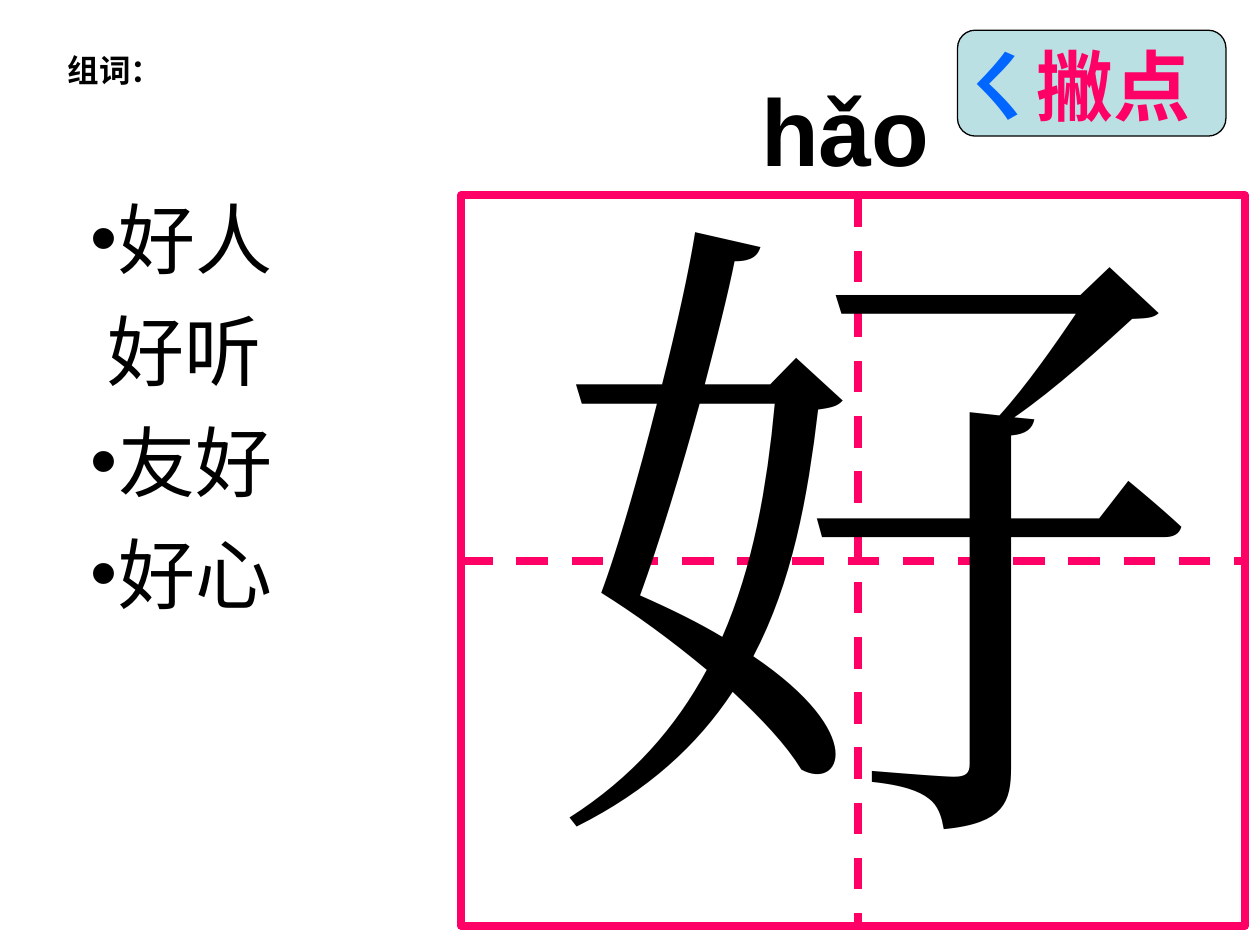
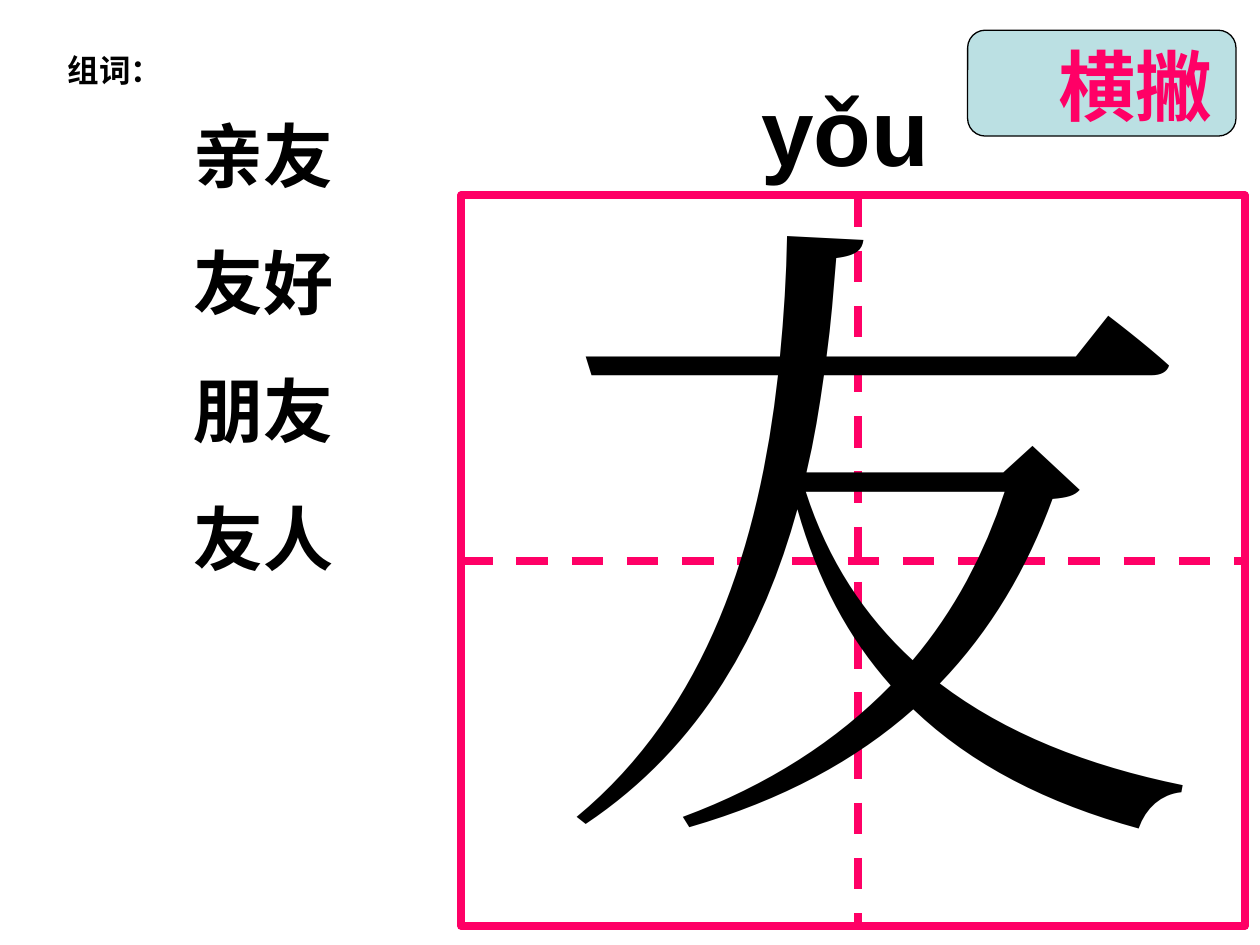
from lxml.etree import SubElement
from pptx import Presentation
from pptx.dml.color import RGBColor
from pptx.enum.dml import MSO_LINE_DASH_STYLE as Dash
from pptx.enum.shapes import MSO_CONNECTOR as Connector, MSO_SHAPE as Shape
from pptx.enum.text import MSO_ANCHOR as Anchor, MSO_AUTO_SIZE as AutoSize, PP_ALIGN as Align
from pptx.oxml.ns import qn
from pptx.util import Emu, Pt

EMU_PER_PX = 9144
COLOURS = {"ink": "000000", "rose": "FF0066", "blue": "0066FF",
           "badge": "BBE0E3", "paper": "FFFFFF"}
GRID = (366, 155, 622, 580)
HANGING = 22
PLAIN_INDENT = 13


def px(length):
    return Emu(length * EMU_PER_PX)


def colour_of(name):
    return RGBColor.from_string(COLOURS[name])


def write(paragraph, text, *, size, font="Arial", colour="ink", bold=False,
          align=Align.LEFT, before=0):
    paragraph.alignment = align
    paragraph.space_before = Pt(before)
    paragraph.line_spacing = Pt(size * 1.2)
    run = paragraph.add_run()
    run.text = text
    run.font.name = font
    run.font.size = Pt(size)
    run.font.bold = bold
    run.font.color.rgb = colour_of(colour)
    SubElement(run.font._element, qn("a:ea")).set("typeface", font)


class CharacterCard:
    def __init__(self, deck):
        self.slide = deck.slides.add_slide(deck.slide_layouts[1])
        self.shapes = self.slide.shapes
        background = self.slide.background.fill
        background.solid()
        background.fore_color.rgb = colour_of("paper")

    def frame(self, holder, wrap):
        frame = holder.text_frame
        frame.auto_size = AutoSize.NONE
        frame.word_wrap = wrap
        frame.vertical_anchor = Anchor.TOP
        frame.margin_left = frame.margin_right = px(10)
        frame.margin_top = frame.margin_bottom = px(5)
        return frame

    def place(self, holder, box):
        holder.left, holder.top, holder.width, holder.height = map(px, box)
        return self.frame(holder, True)

    def label(self, box, parts, **style):
        frame = self.frame(self.shapes.add_textbox(*map(px, box)), False)
        for text, colour in parts:
            write(frame.paragraphs[0], text, colour=colour, **style)

    def outline(self, line, colour, width, dash=None):
        line.color.rgb = colour_of(colour)
        line.width = Pt(width)
        if dash:
            line.dash_style = dash

    def panel(self, kind, box, line, width, fill=None):
        panel = self.shapes.add_shape(kind, *map(px, box))
        panel.shadow.inherit = False
        if fill:
            panel.fill.solid()
            panel.fill.fore_color.rgb = colour_of(fill)
        else:
            panel.fill.background()
        self.outline(panel.line, line, width)
        return panel

    def line(self, start, end, colour, width, dash=None):
        line = self.shapes.add_connector(Connector.STRAIGHT, *map(px, start + end))
        self.outline(line.line, colour, width, dash)
        SubElement(line._element.spPr, qn("a:effectLst"))
        return line

    def pinyin(self, text):
        frame = self.place(self.shapes.title, (594, 52, 323, 100))
        write(frame.paragraphs[0], text, size=54, bold=True)

    def words(self, box, words, gap, **style):
        frame = self.place(self.slide.placeholders[1], box)
        for index, (word, bulleted, indent) in enumerate(words):
            paragraph = frame.add_paragraph() if index else frame.paragraphs[0]
            properties = paragraph._p.get_or_add_pPr()
            properties.set("marL", str(px(indent)))
            properties.set("indent", str(px(-indent if bulleted else 0)))
            if bulleted:
                SubElement(properties, qn("a:buFont")).set("typeface", "Arial")
                SubElement(properties, qn("a:buChar")).set("char", "•")
            else:
                SubElement(properties, qn("a:buNone"))
            write(paragraph, word, before=gap if index else 0, **style)

    def practice_grid(self, character):
        left, top, width, height = GRID
        middle = top + height // 2
        square = self.panel(Shape.RECTANGLE, GRID, "rose", 4.5)
        across = self.line((left, middle), (left + width, middle), "rose", 4.5, Dash.DASH)
        across.begin_connect(square, 1)
        across.end_connect(square, 3)
        self.line((681, top), (681, 737), "rose", 4.5, Dash.DASH)
        self.line((335, 446), (335, 446), "ink", 0.75)
        self.label((429, 99, 534, 627), [(character, "ink")],
                   size=370, font="Times New Roman")

    def stroke_badge(self, left, text_left, text_width, parts):
        self.panel(Shape.ROUNDED_RECTANGLE, (left, 24, 213, 84), "ink", 0.75, "badge")
        self.label((text_left, 26, text_width, 84), parts,
                   size=44, font="Noto Sans CJK SC", bold=True)

    def word_heading(self):
        self.label((44, 36, 95, 40), [("组词：", "ink")], size=18, bold=True)


def build_hao(deck):
    card = CharacterCard(deck)
    card.pinyin("hǎo")
    card.practice_grid("好")
    card.stroke_badge(760, 752, 203, [("ㄑ", "blue"), ("撇点", "rose")])
    card.word_heading()
    words = [("好人", True, HANGING), ("好听", False, PLAIN_INDENT),
             ("友好", True, HANGING), ("好心", True, HANGING)]
    card.words((62, 147, 191, 349), words, gap=11, size=44)


def build_you(deck):
    card = CharacterCard(deck)
    card.pinyin("yǒu")
    card.practice_grid("友")
    card.stroke_badge(768, 830, 142, [("横撇", "rose")])
    card.word_heading()
    words = [(word, False, 0) for word in ("亲友", "友好", "朋友", "友人")]
    card.words((4, 84, 410, 482), words, gap=25, size=40, bold=True, align=Align.CENTER)


def main():
    deck = Presentation()
    deck.slide_width, deck.slide_height = px(1000), px(750)
    build_hao(deck)
    build_you(deck)
    deck.save("out.pptx")


if __name__ == "__main__":
    main()
